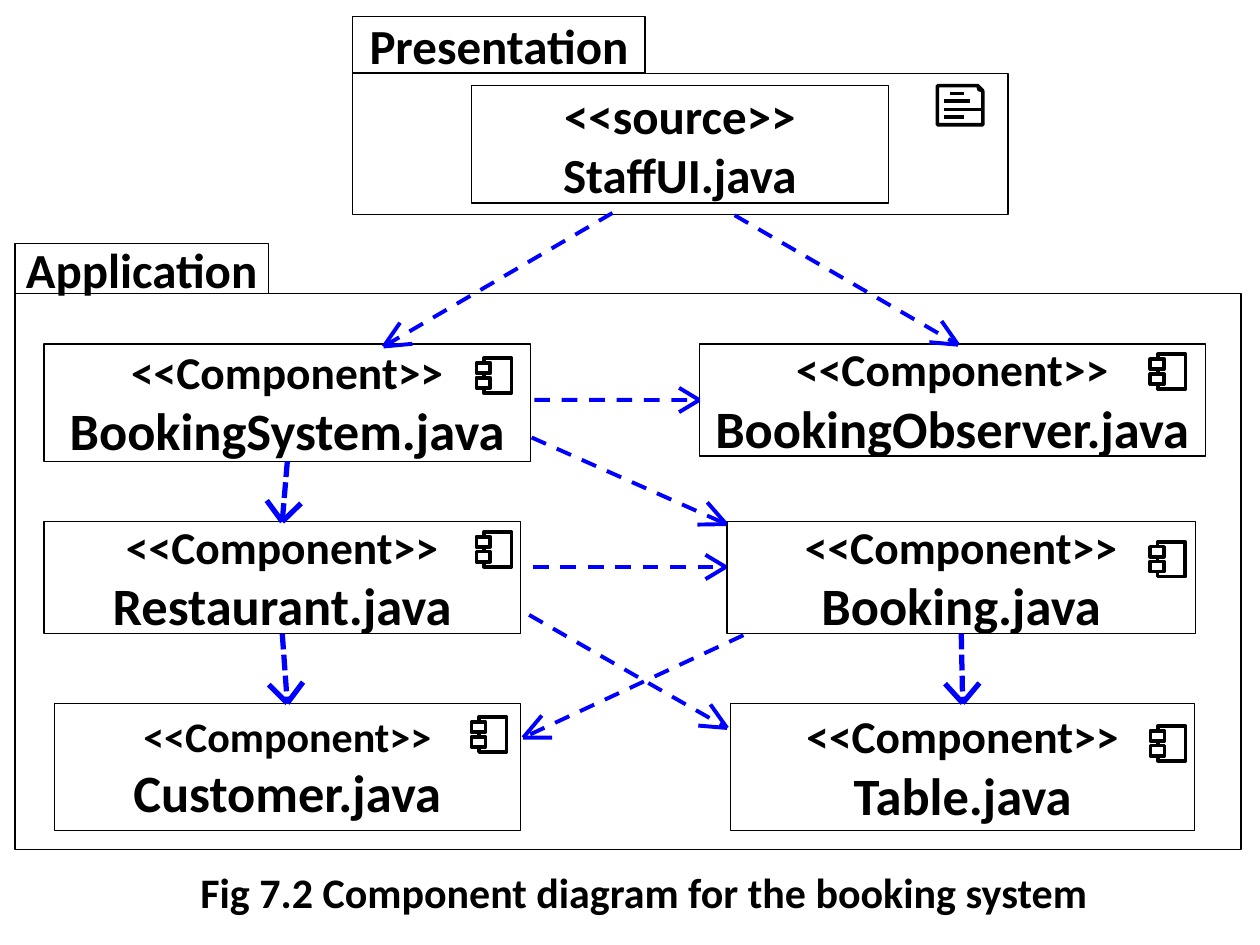
from collections import namedtuple
from dataclasses import dataclass
from math import atan2, cos, radians, sin

from lxml import etree
from pptx import Presentation
from pptx.dml.color import RGBColor
from pptx.enum import dml, shapes, text
from pptx.oxml import ns
from pptx.util import Pt

Box = namedtuple("Box", "x y w h")
Style = namedtuple("Style", "width dash barb spread")
KIND = shapes.MSO_SHAPE


@dataclass(frozen=True)
class Theme:
    font: str = "Calibri"
    ink: RGBColor = RGBColor(0, 0, 0)
    paper: RGBColor = RGBColor(255, 255, 255)
    link: RGBColor = RGBColor(0, 0, 255)
    thin: float = 0.75
    bold: float = 2
    title: int = 28
    kind: int = 26
    name: int = 30
    note: int = 24
    slant: Style = Style(2.25, dml.MSO_LINE.DASH, 16.5, 25)
    level: Style = Style(2.25, dml.MSO_LINE.DASH, 13.5, 31)
    down: Style = Style(3, dml.MSO_LINE.SQUARE_DOT, 15, 41)


THEME = Theme()


def write(frame, lines, anchor=text.MSO_ANCHOR.MIDDLE, wrap=False, space=None):
    frame.word_wrap = wrap
    frame.vertical_anchor = anchor
    for i, (words, size) in enumerate(lines):
        para = frame.paragraphs[0] if i == 0 else frame.add_paragraph()
        para.alignment = text.PP_ALIGN.CENTER
        para.line_spacing = space
        run = para.add_run()
        run.text = words
        run.font.name = THEME.font
        run.font.size = Pt(size)
        run.font.bold = True
        run.font.color.rgb = THEME.ink


def draw_box(tree, box, kind=KIND.RECTANGLE, width=THEME.thin):
    shape = tree.add_shape(kind, *map(Pt, box))
    shape.shadow.inherit = False
    shape.fill.solid()
    shape.fill.fore_color.rgb = THEME.paper
    shape.line.color.rgb = THEME.ink
    shape.line.width = Pt(width)
    return shape


def draw_line(tree, start, end, color, width, dash=None):
    line = tree.add_connector(shapes.MSO_CONNECTOR.STRAIGHT, *map(Pt, start + end))
    line.line.color.rgb = color
    line.line.width = Pt(width)
    if dash:
        line.line.dash_style = dash
    etree.SubElement(line.element.spPr, ns.qn("a:effectLst"))
    return line


def draw_arrow(tree, start, end, style, source=None, target=None):
    group = tree.add_group_shape().shapes
    shaft = draw_line(group, start, end, THEME.link, style.width, style.dash)
    if source:
        shaft.begin_connect(*source)
    if target:
        shaft.end_connect(*target)
    tip = shaft.end_x.pt, shaft.end_y.pt
    back = atan2(shaft.begin_y - shaft.end_y, shaft.begin_x - shaft.end_x)
    for side in (-1, 1):
        turn = back + side * radians(style.spread)
        barb = tip[0] + style.barb * cos(turn), tip[1] + style.barb * sin(turn)
        draw_line(group, barb, tip, THEME.link, style.width)


def draw_pack(tree, box, tab, name):
    draw_box(tree, box)
    label = draw_box(tree, Box(box.x, box.y - tab[1], *tab))
    write(label.text_frame, [(name, THEME.title)])


def draw_icon(tree, x, y):
    group = tree.add_group_shape().shapes
    parts = (4.3, 0, 15.8, 20), (0, 2.8, 8, 5.8), (0, 11.3, 8, 5.8)
    for dx, dy, w, h in parts:
        draw_box(group, Box(x + dx, y + dy, w, h), width=THEME.bold)


def draw_part(tree, box, name, icon, size=THEME.kind):
    shape = draw_box(tree, box)
    write(shape.text_frame, [("<<Component>>", size), (name, THEME.name)])
    draw_icon(tree, box.x + box.w - icon[0], box.y + icon[1])
    return shape


def draw_note(tree, box):
    group = tree.add_group_shape().shapes
    page = draw_box(group, box, KIND.FOLDED_CORNER, THEME.bold)
    guides = page.element.spPr.find(ns.qn("a:prstGeom")).find(ns.qn("a:avLst"))
    etree.SubElement(guides, ns.qn("a:gd"), name="adj", fmla="val 12500")
    page.rotation = 180
    page.element.spPr.find(ns.qn("a:xfrm")).set("flipH", "1")
    rows = (3.6, 15, 18), (3.6, 26, 13.7), (3.6, 18.7, 8.8), (7.2, 15, 4.5)
    for left, right, y in rows:
        draw_line(group, (box.x + left, box.y + y), (box.x + right, box.y + y),
                  THEME.ink, THEME.bold)


def draw_front(tree, box):
    draw_pack(tree, box, (167, 32.4), "Presentation")
    source = draw_box(tree, Box(box.x + 67.7, box.y + 7.2, 238.3, 67))
    write(source.text_frame,
          [("<<source>>", THEME.title), ("StaffUI.java", THEME.title)])
    draw_note(tree, Box(box.x + 334, box.y + 7.2, 26, 22.3))


def draw_core(tree, box):
    draw_pack(tree, box, (144.7, 28.8), "Application")
    parts = (
        ("BookingSystem", Box(16.6, 28.8, 278, 67), (31, 8)),
        ("Restaurant", Box(16.6, 130.3, 272.2, 64), (25.2, 5.8)),
        ("Customer", Box(22.4, 234, 266.4, 72.7), (28, 8), THEME.note),
        ("BookingObserver", Box(391, 28.8, 289.4, 64), (31.7, 5.8)),
        ("Booking", Box(406.8, 130.3, 267.8, 64), (26, 11.5)),
        ("Table", Box(409, 234, 265, 72.7), (25.2, 13)),
    )
    made = {}
    for name, spot, *rest in parts:
        place = Box(box.x + spot.x, box.y + spot.y, spot.w, spot.h)
        made[name] = draw_part(tree, place, f"{name}.java", *rest)
    return made


def draw_links(tree, made):
    slants = (
        ((419.8, 123), (547.5, 197)),
        ((350, 121.7), (219.2, 198)),
        ((303.8, 250), (415, 299.5)),
        ((302.4, 351.4), (415.5, 416)),
        ((424.8, 363), (299, 421.5)),
    )
    for start, end in slants:
        draw_arrow(tree, start, end, THEME.slant)
    draw_arrow(tree, (305.3, 228.5), (399.6, 228.5), THEME.level,
               target=(made["BookingObserver"], 1))
    draw_arrow(tree, (304.6, 324), (414.7, 324), THEME.level)
    pairs = (("BookingSystem", "Restaurant"), ("Restaurant", "Customer"),
             ("Booking", "Table"))
    for top, low in pairs:
        draw_arrow(tree, (0, 0), (0, 0), THEME.down,
                   (made[top], 2), (made[low], 0))


def draw_foot(tree, box):
    label = tree.add_textbox(*map(Pt, box))
    write(label.text_frame,
          [("Fig 7.2 Component diagram for the booking system", THEME.note)],
          anchor=text.MSO_ANCHOR.TOP, wrap=True, space=0.9)


def main():
    deck = Presentation()
    deck.slide_width, deck.slide_height = Pt(720), Pt(540)
    tree = deck.slides.add_slide(deck.slide_layouts[6]).shapes
    draw_front(tree, Box(201.6, 41.8, 374.4, 80.6))
    made = draw_core(tree, Box(8.6, 167.8, 700.6, 317.5))
    draw_links(tree, made)
    draw_foot(tree, Box(44, 495, 648, 36.7))
    deck.save("out.pptx")


if __name__ == "__main__":
    main()
